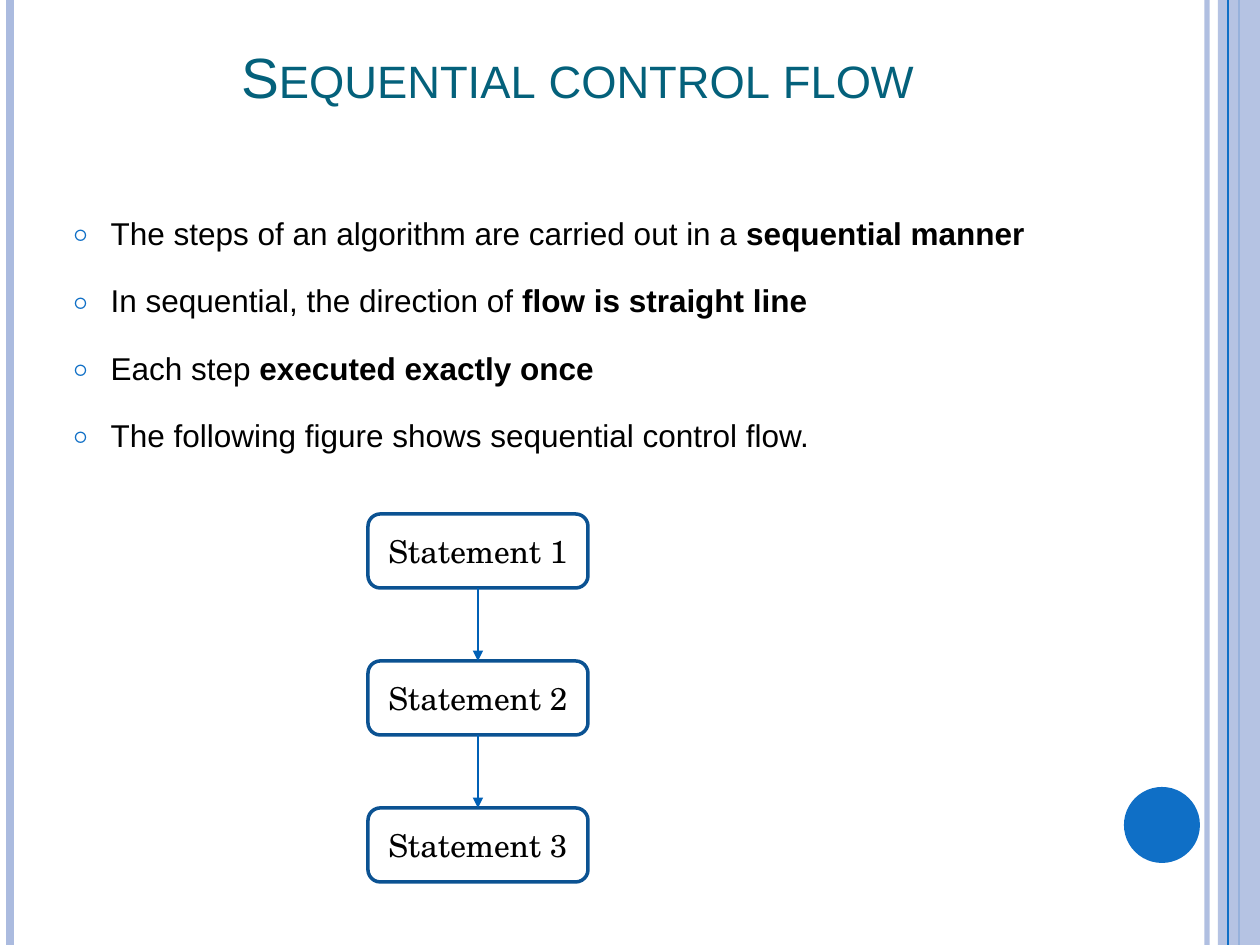
from collections import namedtuple
from dataclasses import dataclass

from lxml.etree import SubElement
from pptx import Presentation
from pptx.dml.color import RGBColor
from pptx.enum.shapes import MSO_CONNECTOR, MSO_SHAPE
from pptx.enum.text import MSO_ANCHOR, MSO_AUTO_SIZE, PP_ALIGN
from pptx.oxml.ns import qn
from pptx.util import Emu, Pt

Box = namedtuple("Box", "left top width height")


@dataclass(frozen=True)
class Theme:
    rail: str = "ABBBDF"
    accent: str = "0F6FC6"
    title: str = "04617B"
    text: str = "000000"
    outline: str = "0B5292"
    arrow: str = "0060B6"
    sans: str = "Arial"
    serif: str = "TeX Gyre Schola"
    title_size: float = 32.4
    text_size: int = 18


THEME = Theme()
PAGE = Box(0, 0, 1260, 945)

BULLETS = [
    ("The steps of an algorithm are carried out in a ", "sequential manner"),
    ("In sequential, the direction of ", "flow is straight line"),
    ("Each step ", "executed exactly once"),
    ("The following figure shows sequential control flow.", ""),
]
STATEMENTS = ["Statement 1", "Statement 2", "Statement 3"]


def px(length):
    return Emu(round(length * 914400 / 126))


def color(value):
    return RGBColor.from_string(value)


def place(shape, box):
    shape.left, shape.top, shape.width, shape.height = map(px, box)


def set_alpha(fill_parent, percent):
    target = fill_parent.find(".//" + qn("a:srgbClr"))
    SubElement(target, qn("a:alpha"), val=str(percent * 1000))


def style_font(font, name, size, value):
    font.name, font.size = name, Pt(size)
    font.color.rgb = color(value)


def add_shape(page, kind, box, fill=None):
    shape = page.shapes.add_shape(kind, *map(px, box))
    shape.shadow.inherit = False
    if fill:
        shape.fill.solid()
        shape.fill.fore_color.rgb = color(fill)
    else:
        shape.fill.background()
    shape.line.fill.background()
    return shape


def add_line(page, start, end, value, width):
    line = page.shapes.add_connector(
        MSO_CONNECTOR.STRAIGHT, *map(px, (*start, *end)))
    line.line.color.rgb = color(value)
    line.line.width = Pt(width)
    SubElement(line._element.spPr, qn("a:effectLst"))
    return line


def add_rail(page, box, x, value, width):
    """Draw a vertical line over the full height of the box."""
    x += box.left
    return add_line(page, (x, box.top), (x, box.top + box.height), value, width)


def add_frame(page, box):
    """Draw the side rails, the right-hand panel and the disc."""
    inner = add_rail(page, box, 1207, THEME.rail, 3)
    set_alpha(inner.line._ln, 93)
    add_rail(page, box, 10, THEME.rail, 4.5)
    add_rail(page, box, 1239, THEME.accent, 1.5)
    panel = add_shape(page, MSO_SHAPE.RECTANGLE,
                      Box(box.left + 1218, box.top, 42, box.height), THEME.rail)
    set_alpha(panel._element.spPr, 87)
    add_rail(page, box, 1228, THEME.accent, 0.75)
    add_shape(page, MSO_SHAPE.OVAL,
              Box(box.left + 1124, box.top + 787, 76, 76), THEME.accent)


def fill_title(title, box):
    place(title, box)
    frame = title.text_frame
    frame.text = "Sequential control flow"
    frame.auto_size = MSO_AUTO_SIZE.NONE
    frame.vertical_anchor = MSO_ANCHOR.BOTTOM
    para = frame.paragraphs[0]
    para.alignment = PP_ALIGN.CENTER
    span = para.runs[0]
    style_font(span.font, THEME.sans, THEME.title_size, THEME.title)
    span.font._element.set("cap", "small")


def add_bullet(para):
    properties = para._p.get_or_add_pPr()
    indent = px(38)
    properties.set("marL", str(indent))
    properties.set("indent", str(-indent))
    bullet_color = SubElement(properties, qn("a:buClr"))
    SubElement(bullet_color, qn("a:srgbClr"), val=THEME.accent)
    SubElement(properties, qn("a:buSzPct"), val="70000")
    SubElement(properties, qn("a:buFont"), typeface=THEME.serif)
    SubElement(properties, qn("a:buChar"), char="○")


def fill_body(body, box):
    place(body, box)
    frame = body.text_frame
    frame.auto_size = MSO_AUTO_SIZE.NONE
    for index, (plain, strong) in enumerate(BULLETS):
        para = frame.add_paragraph() if index else frame.paragraphs[0]
        add_bullet(para)
        para.line_spacing = 1.5
        para.space_before = Pt(6 if index else 0)
        for text, bold in ((plain, False), (strong, True)):
            if text:
                span = para.add_run()
                span.text = text
                style_font(span.font, THEME.sans, THEME.text_size, THEME.text)
                span.font.bold = bold


def add_statement(page, box, text):
    shape = add_shape(page, MSO_SHAPE.ROUNDED_RECTANGLE, box)
    shape.line.color.rgb = color(THEME.outline)
    shape.line.width = Pt(2)
    frame = shape.text_frame
    frame.text = text
    frame.vertical_anchor = MSO_ANCHOR.MIDDLE
    para = frame.paragraphs[0]
    para.alignment = PP_ALIGN.CENTER
    style_font(para.runs[0].font, THEME.serif, THEME.text_size, THEME.text)
    return shape


def add_flow(page, box):
    """Stack the statements with equal gaps and join them with arrows."""
    height = 74
    step = (box.height - height) // (len(STATEMENTS) - 1)
    shapes = [
        add_statement(page, Box(box.left, box.top + index * step, box.width, height), text)
        for index, text in enumerate(STATEMENTS)
    ]
    for upper, lower in zip(shapes, shapes[1:]):
        arrow = add_line(page, (0, 0), (0, 0), THEME.arrow, 1)
        arrow.begin_connect(upper, 2)
        arrow.end_connect(lower, 0)
        SubElement(arrow.line._ln, qn("a:tailEnd"), type="triangle")


def main():
    deck = Presentation()
    deck.slide_width, deck.slide_height = px(PAGE.width), px(PAGE.height)
    page = deck.slides.add_slide(deck.slide_layouts[1])
    add_frame(page, PAGE)
    fill_title(page.shapes.title, Box(63, 38, 1029, 78))
    fill_body(page.placeholders[1], Box(60, 189, 1029, 735))
    add_flow(page, Box(368, 514, 220, 368))
    deck.save("out.pptx")


if __name__ == "__main__":
    main()
